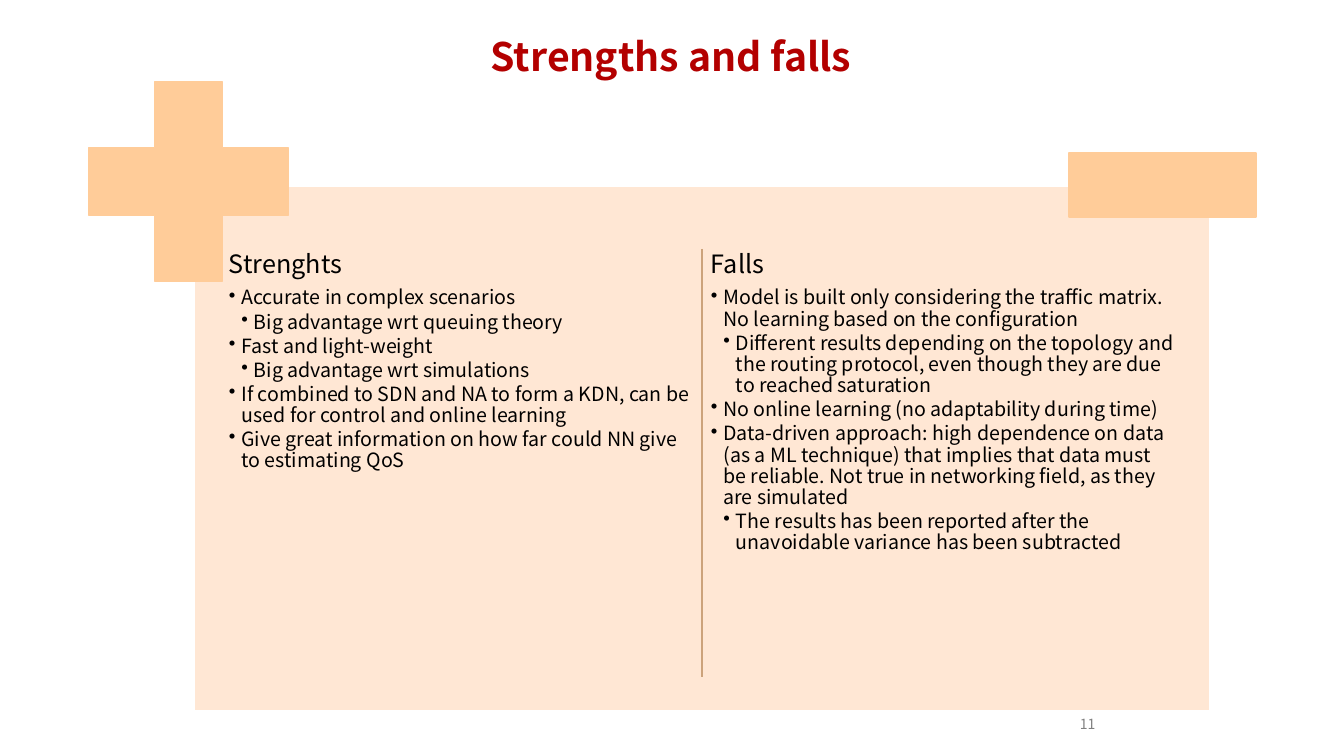
import dataclasses

import pptx
import pptx.dml.color
import pptx.enum.shapes
import pptx.enum.text
import pptx.oxml
import pptx.util
from lxml import etree

EMU_PER_PX = 914400 / 100.8
SHAPES = pptx.enum.shapes.MSO_SHAPE
ALIGN = pptx.enum.text.PP_ALIGN
ANCHOR = pptx.enum.text.MSO_ANCHOR


@dataclasses.dataclass(frozen=True)
class Theme:
    font: str = "Noto Sans CJK SC"
    title_color: str = "B30000"
    text_color: str = "000000"
    number_color: str = "808080"
    panel: str = "FFE7D4"
    panel_edge: str = "FFFFFF"
    sign: str = "FFCC99"
    divider: str = "CCA37B"
    title_size: int = 28
    heading_size: int = 18
    body_size: int = 14
    number_size: int = 10


THEME = Theme()

# Each point is (level, text).
STRENGTHS = [
    (1, "Accurate in complex scenarios"),
    (2, "Big advantage wrt queuing theory"),
    (1, "Fast and light-weight"),
    (2, "Big advantage wrt simulations"),
    (1, "If combined to SDN and NA to form a KDN, can be used for control "
        "and online learning"),
    (1, "Give great information on how far could NN give to estimating QoS"),
]
FALLS = [
    (1, "Model is built only considering the traffic matrix. No learning "
        "based on the configuration"),
    (2, "Different results depending on the topology and the routing protocol, "
        "even though they are due to reached saturation"),
    (1, "No online learning (no adaptability during time)"),
    (1, "Data-driven approach: high dependence on data (as a ML technique) "
        "that implies that data must be reliable. Not true in networking "
        "field, as they are simulated"),
    (2, "The results has been reported after the unavoidable variance has "
        "been subtracted"),
]


def px(length):
    return pptx.util.Emu(round(length * EMU_PER_PX))


def rgb(code):
    return pptx.dml.color.RGBColor.from_string(code)


def add_block(page, kind, left, top, width, height, fill, edge):
    block = page.shapes.add_shape(kind, px(left), px(top), px(width), px(height))
    block.shadow.inherit = False
    block.fill.solid()
    block.fill.fore_color.rgb = rgb(fill)
    block.line.color.rgb = rgb(edge)
    block.line.width = pptx.util.Pt(1)
    return block


def add_divider(page, x, top, bottom):
    line = page.shapes.add_connector(
        pptx.enum.shapes.MSO_CONNECTOR.STRAIGHT, px(x), px(top), px(x), px(bottom))
    line.line.color.rgb = rgb(THEME.divider)
    line.line.width = pptx.util.Pt(1)
    etree.SubElement(line._element.spPr, pptx.oxml.ns.qn("a:effectLst"))


def add_text_frame(page, left, top, width, height, inset=0):
    box = page.shapes.add_textbox(px(left), px(top), px(width), px(height))
    frame = box.text_frame
    frame.word_wrap = True
    frame.margin_left = frame.margin_right = px(inset)
    frame.margin_top = frame.margin_bottom = px(inset)
    return frame


def write(para, text, size, color, bold=False, spacing=0.9, after=0):
    para.line_spacing = spacing
    para.space_after = pptx.util.Pt(after)
    span = para.add_run()
    span.text = text
    span.font.name = THEME.font
    span.font.size = pptx.util.Pt(size)
    span.font.bold = bold
    span.font.color.rgb = rgb(color)


def set_bullet(para, level):
    """Give the paragraph a hanging bullet, one step deeper per level."""
    step = px(12.5)
    para.level = level
    properties = para._p.get_or_add_pPr()
    properties.set("marL", str(step * level))
    properties.set("indent", str(-step))
    bullet = etree.SubElement(properties, pptx.oxml.ns.qn("a:buChar"))
    bullet.set("char", "•")


def add_column(page, left, heading, points):
    frame = add_text_frame(page, left, 248, 472, 449, inset=4)
    write(frame.paragraphs[0], heading, THEME.heading_size, THEME.text_color,
          after=0.35 * THEME.heading_size)
    for level, text in points:
        para = frame.add_paragraph()
        set_bullet(para, level)
        write(para, text, THEME.body_size, THEME.text_color,
              after=0.15 * THEME.body_size)


def add_title(page, text):
    frame = add_text_frame(page, 56, 29, 1230, 59)
    frame.vertical_anchor = ANCHOR.MIDDLE
    para = frame.paragraphs[0]
    para.alignment = ALIGN.CENTER
    write(para, text, THEME.title_size, THEME.title_color, bold=True)


def add_page_number(page, number):
    frame = add_text_frame(page, 1080, 718, 36, 24)
    write(frame.paragraphs[0], number, THEME.number_size, THEME.number_color,
          spacing=0.85)


def main():
    deck = pptx.Presentation()
    deck.slide_width, deck.slide_height = px(1344), px(756)
    page = deck.slides.add_slide(deck.slide_layouts[6])

    add_page_number(page, "11")
    add_title(page, "Strengths and falls")
    add_block(page, SHAPES.RECTANGLE, 194, 186, 1016, 525,
              THEME.panel, THEME.panel_edge)
    add_column(page, 225, "Strenghts", STRENGTHS)
    add_column(page, 707, "Falls", FALLS)
    plus = add_block(page, SHAPES.CROSS, 89, 82, 199, 199, THEME.sign, THEME.sign)
    plus.adjustments[0] = 0.33
    add_block(page, SHAPES.RECTANGLE, 1069, 153, 187, 64, THEME.sign, THEME.sign)
    add_divider(page, 702, 249, 677)

    deck.save("out.pptx")


if __name__ == "__main__":
    main()
